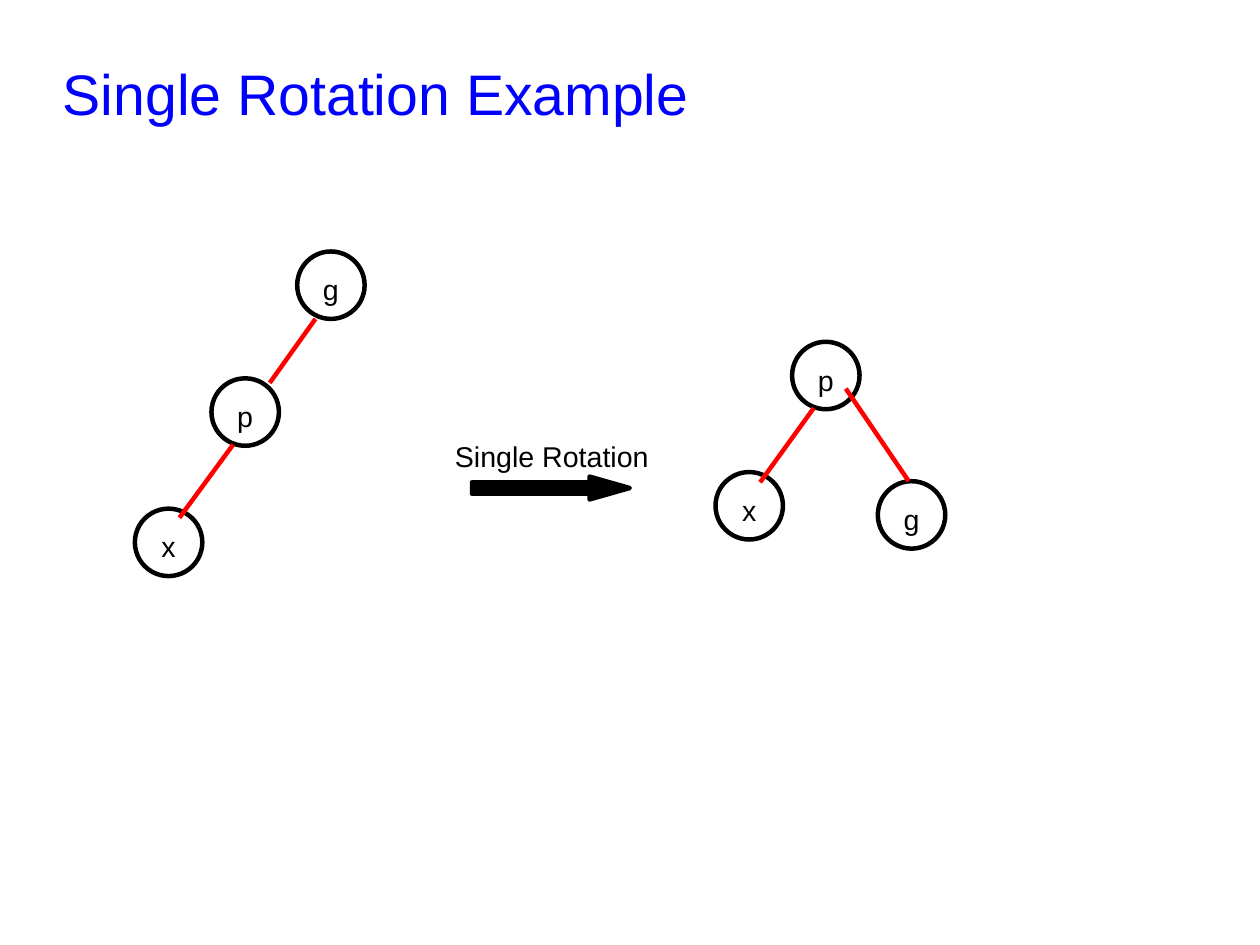
from dataclasses import dataclass

from lxml import etree
from pptx import Presentation
from pptx.dml.color import RGBColor
from pptx.enum.shapes import MSO_CONNECTOR, MSO_SHAPE
from pptx.enum.text import MSO_ANCHOR, MSO_AUTO_SIZE, PP_ALIGN
from pptx.oxml.ns import qn
from pptx.util import Inches, Pt

STRAIGHT = MSO_CONNECTOR.STRAIGHT
OVAL, RIGHT_ARROW = MSO_SHAPE.OVAL, MSO_SHAPE.RIGHT_ARROW
TOP, MIDDLE = MSO_ANCHOR.TOP, MSO_ANCHOR.MIDDLE
LEFT, CENTER = PP_ALIGN.LEFT, PP_ALIGN.CENTER
NO_AUTOFIT = MSO_AUTO_SIZE.NONE

CM_PER_INCH = 2.54
SLIDE_WIDTH = Inches(28 / CM_PER_INCH)
SLIDE_HEIGHT = Inches(21 / CM_PER_INCH)
FONT = "Arial"
BLACK, WHITE, RED, BLUE = "000000", "FFFFFF", "FF0000", "0000FF"
LINE_WIDTH = Pt(2.83)
LINE_SPACING = 1.24
NODE_SIZE = 0.59


@dataclass(frozen=True)
class Node:
    """A labelled tree node, placed by its top left corner in inches."""
    label: str
    left: float
    top: float


@dataclass(frozen=True)
class Edge:
    """A tree edge between two points in inches."""
    x1: float
    y1: float
    x2: float
    y2: float


@dataclass(frozen=True)
class Tree:
    """Nodes with the edges drawn over them."""
    nodes: tuple[Node, ...]
    edges: tuple[Edge, ...]


BEFORE = Tree(
    (Node("x", 1.18, 4.45), Node("p", 1.85, 3.31), Node("g", 2.6, 2.2)),
    (Edge(1.57, 4.53, 2.04, 3.89), Edge(2.36, 3.35, 2.76, 2.79)),
)
AFTER = Tree(
    (Node("x", 6.26, 4.13), Node("p", 6.93, 2.99), Node("g", 7.68, 4.21)),
    (Edge(6.65, 4.22, 7.12, 3.57), Edge(7.4, 3.4, 7.95, 4.21)),
)


def color(value: str) -> RGBColor:
    """Turn a hex string into a colour."""
    return RGBColor.from_string(value)


def write(shape, text: str, size: float = 18, ink: str = BLACK, align=LEFT,
          anchor=MIDDLE, wrap: bool = True, margins=(0.12, 0.07)) -> None:
    """Write one formatted line of text into a shape."""
    frame = shape.text_frame
    frame.auto_size = NO_AUTOFIT
    frame.word_wrap = wrap
    frame.vertical_anchor = anchor
    frame.margin_left = frame.margin_right = Inches(margins[0])
    frame.margin_top = frame.margin_bottom = Inches(margins[1])
    paragraph = frame.paragraphs[0]
    paragraph.alignment = align
    paragraph.line_spacing = LINE_SPACING
    run = paragraph.add_run()
    run.text = text
    run.font.name = FONT
    run.font.size = Pt(size)
    run.font.color.rgb = color(ink)


def add_outlined(slide, kind, left: float, top: float, width: float,
                 height: float, fill: str):
    """Add a filled preset shape with the black outline."""
    shape = slide.shapes.add_shape(
        kind, Inches(left), Inches(top), Inches(width), Inches(height))
    shape.shadow.inherit = False
    shape.fill.solid()
    shape.fill.fore_color.rgb = color(fill)
    shape.line.color.rgb = color(BLACK)
    shape.line.width = LINE_WIDTH
    return shape


def add_edge(slide, edge: Edge) -> None:
    """Draw one red tree edge without a shadow."""
    connector = slide.shapes.add_connector(
        STRAIGHT, Inches(edge.x1), Inches(edge.y1),
        Inches(edge.x2), Inches(edge.y2))
    connector.line.color.rgb = color(RED)
    connector.line.width = LINE_WIDTH
    etree.SubElement(connector.element.spPr, qn("a:effectLst"))


def add_tree(slide, tree: Tree) -> None:
    """Draw the nodes of a tree, then its edges."""
    for node in tree.nodes:
        circle = add_outlined(slide, OVAL, node.left, node.top,
                              NODE_SIZE, NODE_SIZE, WHITE)
        write(circle, node.label, align=CENTER, wrap=False)
    for edge in tree.edges:
        add_edge(slide, edge)


def add_title(slide, text: str) -> None:
    """Place and fill the title placeholder."""
    title = slide.shapes.title
    title.left, title.top = Inches(0.55), Inches(0.33)
    title.width, title.height = Inches(9.89), Inches(0.82)
    write(title, text, size=36, ink=BLUE, margins=(0, 0))


def add_rotation_arrow(slide) -> None:
    """Draw the arrow between the trees and its caption."""
    arrow = add_outlined(slide, RIGHT_ARROW, 4.13, 4.17, 1.38, 0.2, BLACK)
    arrow.adjustments[0] = 0.5
    arrow.adjustments[1] = 1.76
    caption = slide.shapes.add_textbox(
        Inches(3.86), Inches(3.7), Inches(1.99), Inches(0.52))
    write(caption, "Single Rotation", anchor=TOP)


def set_slide_size(presentation) -> None:
    """Set the custom size and drop the template's 4:3 screen type."""
    presentation.slide_width = SLIDE_WIDTH
    presentation.slide_height = SLIDE_HEIGHT
    presentation.element.find(qn("p:sldSz")).attrib.pop("type", None)


def main() -> None:
    """Build the slide and save it."""
    presentation = Presentation()
    set_slide_size(presentation)
    title_only = presentation.slide_layouts[5]
    slide = presentation.slides.add_slide(title_only)
    add_title(slide, "Single Rotation Example")
    for tree in (BEFORE, AFTER):
        add_tree(slide, tree)
    add_rotation_arrow(slide)
    presentation.save("out.pptx")


main()
